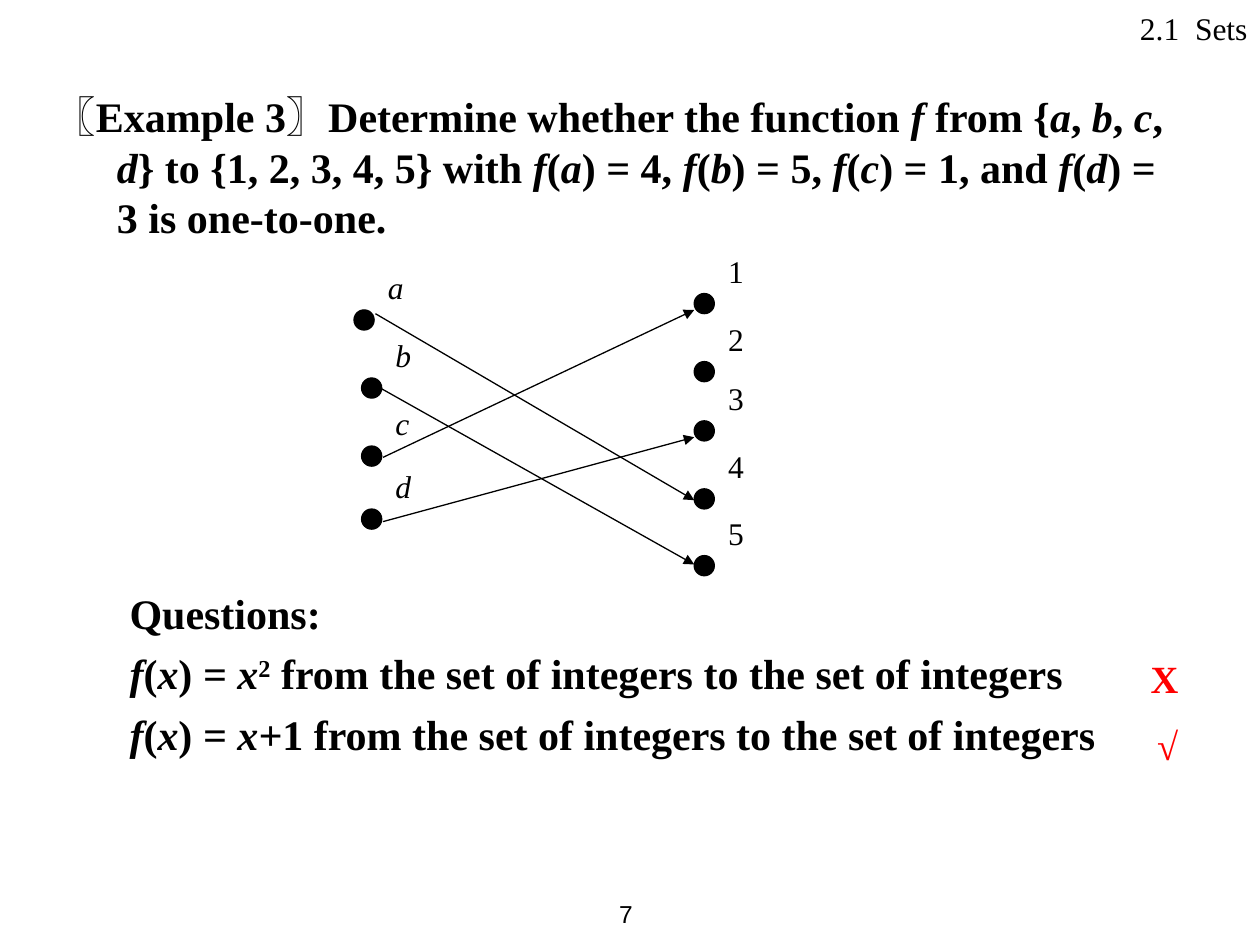
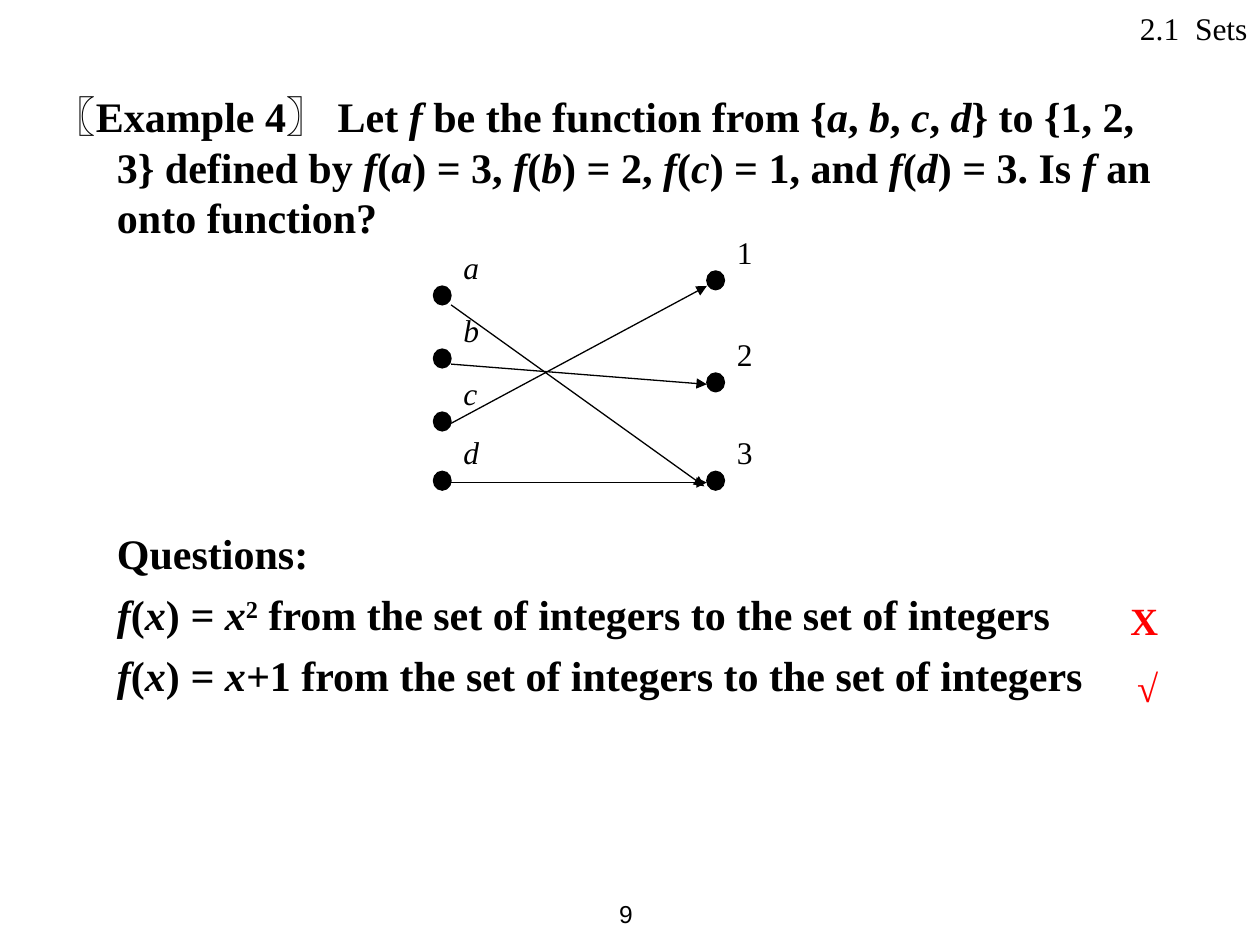
from lxml import etree
from pptx import Presentation
from pptx.dml.color import RGBColor
from pptx.enum.shapes import MSO_CONNECTOR, MSO_SHAPE
from pptx.enum.text import MSO_ANCHOR, PP_ALIGN
from pptx.oxml.ns import qn
from pptx.util import Inches, Pt

BLACK = RGBColor(0, 0, 0)
RED = RGBColor(255, 0, 0)
SERIF, SANS = "Times New Roman", "Arial"
OVAL = MSO_SHAPE.OVAL
STRAIGHT = MSO_CONNECTOR.STRAIGHT
LEFT, RIGHT = PP_ALIGN.LEFT, PP_ALIGN.RIGHT
MIDDLE = MSO_ANCHOR.MIDDLE

QUESTIONS = [
    "Questions:",
    "*f*(*x*)* = x*^2^ from the set of integers to the set of integers",
    "*f*(*x*)* = x+*1 from the set of integers to the set of integers",
]

ONE_TO_ONE = {
    "page": "7",
    "problem": "Example 3〗Determine whether the function *f* from {*a*, *b*, *c*, *d*} "
               "to {1, 2, 3, 4, 5} with *f*(*a*) = 4, *f*(*b*) = 5, *f*(*c*) = 1, "
               "and *f*(*d*) = 3 is one-to-one.",
    "mapping": {
        "origin": (2.81, 1.95),
        "dot": (0.16, 0.16),
        "label": (0.17, -0.38, 0.88, 0.81),
        "points": [("*a*", 0, 0.51), ("*b*", 0.06, 1.05), ("*c*", 0.06, 1.59),
                   ("*d*", 0.06, 2.09), ("1", 2.7, 0.38), ("2", 2.7, 0.92),
                   ("3", 2.7, 1.39), ("4", 2.7, 1.93), ("5", 2.7, 2.46)],
        "arrows": [(0.17, 0.54, 2.7, 2.02), (0.12, 1.08, 2.7, 2.53),
                   (0.23, 1.68, 2.7, 0.51), (0.23, 2.19, 2.7, 1.52)],
    },
    "questions": (0.43, 4.61, 8.47, 1.47),
    "verdicts": (8.75, 5.15, 0.7, 1.03),
}

ONTO = {
    "page": "9",
    "problem": "Example 4〗 Let *f* be the function from {*a*, *b*, *c*, *d*} to {1, 2, 3} "
               "defined by *f*(*a*) = 3, *f*(*b*) = 2, *f*(*c*) = 1, and *f*(*d*) = 3. "
               "Is *f* an onto function?",
    "mapping": {
        "origin": (3.44, 1.8),
        "dot": (0.14, 0.15),
        "label": (0.14, -0.35, 0.73, 0.75),
        "points": [("*a*", 0, 0.47), ("*b*", 0, 0.97), ("*c*", 0, 1.47),
                   ("*d*", 0, 1.94), ("1", 2.17, 0.35), ("2", 2.17, 1.16),
                   ("3", 2.17, 1.94)],
        "arrows": [(0.14, 0.62, 2.15, 2.06), (0.14, 1.09, 2.17, 1.25),
                   (0.14, 1.56, 2.17, 0.47), (0.14, 2.03, 2.17, 2.03)],
    },
    "questions": (0.33, 4.14, 8.42, 1.47),
    "verdicts": (8.59, 4.69, 0.7, 1.03),
}


def inches(*lengths):
    """Convert plain numbers to lengths."""
    return [Inches(length) for length in lengths]


def add_run(paragraph, text, size, font=SERIF, color=BLACK, bold=False, italic=False):
    """Append one formatted run."""
    run = paragraph.add_run()
    run.text = text
    run.font.size = Pt(size)
    run.font.name = font
    run.font.color.rgb = color
    run.font.bold = bold
    run.font.italic = italic
    return run


def add_math(paragraph, markup, size, **style):
    """Append runs, with *italic* and ^raised^ stretches."""
    for i, stretch in enumerate(markup.split("*")):
        for j, piece in enumerate(stretch.split("^")):
            if piece:
                run = add_run(paragraph, piece, size, italic=i % 2 == 1, **style)
                if j % 2:
                    run.font._element.set("baseline", "30000")


def add_text(shapes, box, lines, size, align=LEFT, gap=0, hang=None, **style):
    """Add a wrapping text box with one paragraph per line."""
    frame = shapes.add_textbox(*inches(*box)).text_frame
    frame.word_wrap = True
    for number, line in enumerate(lines):
        paragraph = frame.add_paragraph() if number else frame.paragraphs[0]
        paragraph.alignment = align
        paragraph.space_before = Pt(gap)
        if hang:
            margin, indent = inches(*hang)
            properties = paragraph._p.get_or_add_pPr()
            properties.set("marL", str(margin))
            properties.set("indent", str(indent))
        add_math(paragraph, line, size, **style)
    return frame


def add_frame(slide, page):
    """Add the section heading and page number."""
    add_text(slide.shapes, (6, 0.02, 4, 0.4), ["2.1  Sets"], 18, RIGHT)
    number = add_text(slide.shapes, (4.45, 7, 0.67, 0.5), [page], 14, RIGHT, font=SANS)
    number.vertical_anchor = MIDDLE


def add_problem(slide, statement):
    """Add the example statement with a hanging indent."""
    frame = add_text(slide.shapes, (0.33, 0.67, 9.08, 1.31), [""], 24, hang=(0.5, -0.5))
    paragraph = frame.paragraphs[0]
    add_run(paragraph, "〖", 24, font=SANS, bold=True)
    add_math(paragraph, statement, 24, bold=True)


def add_arrow(shapes, start_x, start_y, end_x, end_y):
    """Add a thin arrow."""
    arrow = shapes.add_connector(STRAIGHT, *inches(start_x, start_y, end_x, end_y))
    arrow.line.color.rgb = BLACK
    arrow.line.width = Pt(0.75)
    etree.SubElement(arrow.line._get_or_add_ln(), qn("a:tailEnd"), type="triangle")
    etree.SubElement(arrow._element.spPr, qn("a:effectLst"))


def add_mapping(slide, origin, dot, label, points, arrows):
    """Add the grouped diagram of labelled dots and arrows."""
    shapes = slide.shapes.add_group_shape().shapes
    left, top = origin
    shift_x, shift_y, width, height = label
    for name, x, y in points:
        x, y = left + x, top + y
        element = shapes.add_shape(OVAL, *inches(x, y, *dot))
        element.shadow.inherit = False
        element.fill.solid()
        element.fill.fore_color.rgb = BLACK
        element.line.color.rgb = BLACK
        element.line.width = Pt(0.75)
        add_text(shapes, (x + shift_x, y + shift_y, width, height), [name], 18)
    for start_x, start_y, end_x, end_y in arrows:
        add_arrow(shapes, left + start_x, top + start_y, left + end_x, top + end_y)


def add_example(deck, example):
    """Add one example slide."""
    slide = deck.slides.add_slide(deck.slide_layouts[6])
    add_frame(slide, example["page"])
    add_problem(slide, example["problem"])
    add_mapping(slide, **example["mapping"])
    add_text(slide.shapes, example["questions"], QUESTIONS, 24, gap=6,
             hang=(0.81, -0.31), bold=True)
    add_text(slide.shapes, example["verdicts"], ["X", "√"], 22, RIGHT, gap=12,
             color=RED, bold=True)


def main():
    """Build and save the deck."""
    deck = Presentation()
    deck.slide_width, deck.slide_height = inches(10, 7.5)
    for example in (ONE_TO_ONE, ONTO):
        add_example(deck, example)
    deck.save("out.pptx")


if __name__ == "__main__":
    main()
